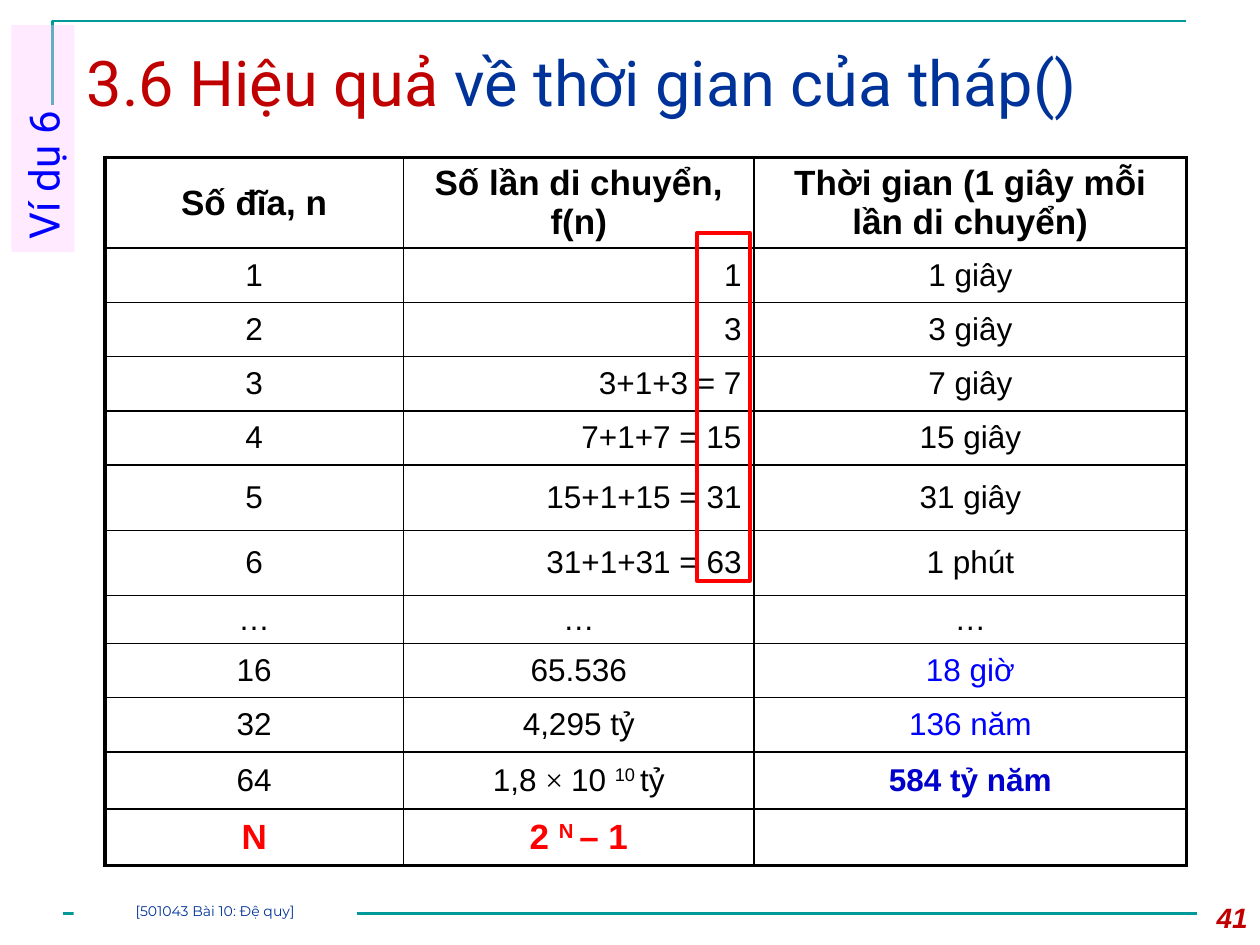
"""Build the slide on the running time of the Tower of Hanoi."""
from lxml import etree
from pptx import Presentation
from pptx.dml.color import RGBColor
from pptx.enum import shapes, text
from pptx.oxml import ns
from pptx.util import Pt

COLORS = {"teal": "009999", "crimson": "C00000", "navy": "003399", "black": "000000",
          "white": "FFFFFF", "blue": "0000FF", "deep blue": "0000CC", "red": "FF0000",
          "pink": "FFCCFF"}
CENTER, RIGHT, LEFT = text.PP_ALIGN.CENTER, text.PP_ALIGN.RIGHT, text.PP_ALIGN.LEFT


def add_span(para, words, size, color, font="Arial", bold=False, italic=False, raised=False):
    span = para.add_run()
    span.text = words
    span.font.size, span.font.name = Pt(size), font
    span.font.bold, span.font.italic = bold, italic
    span.font.color.rgb = RGBColor.from_string(COLORS[color])
    if raised:
        span.font._element.set("baseline", "30000")


def add_box(left, top, width, height, align, anchor, margin=None):
    box = page.shapes.add_shape(shapes.MSO_SHAPE.RECTANGLE,
                                Pt(left), Pt(top), Pt(width), Pt(height))
    box.shadow.inherit = False
    box.fill.background()
    box.line.fill.background()
    frame = box.text_frame
    frame.word_wrap, frame.vertical_anchor = True, anchor
    if margin is not None:
        frame.margin_left = frame.margin_right = Pt(margin)
        frame.margin_top = frame.margin_bottom = Pt(margin)
    frame.paragraphs[0].alignment = align
    return box


deck = Presentation()
deck.slide_width, deck.slide_height = Pt(720), Pt(540)
page = deck.slides.add_slide(deck.slide_layouts[6])
TOP, MIDDLE = text.MSO_ANCHOR.TOP, text.MSO_ANCHOR.MIDDLE
teal = RGBColor.from_string(COLORS["teal"])

outline = page.shapes.build_freeform(Pt(30), Pt(60))
outline.add_line_segments([(Pt(30), Pt(12)), (Pt(678), Pt(12))], close=False)
corner = outline.convert_to_shape()
corner.shadow.inherit = False
corner.fill.background()
footer_line = page.shapes.add_connector(shapes.MSO_CONNECTOR.STRAIGHT,
                                        Pt(36), Pt(522), Pt(684), Pt(522))
etree.SubElement(footer_line._element.spPr, ns.qn("a:effectLst"))
for rule in (corner, footer_line):
    rule.line.color.rgb, rule.line.width = teal, Pt(1.5)

title = add_box(42.5, 18, 641.5, 62, LEFT, MIDDLE)
title_para = title.text_frame.paragraphs[0]
title_para.line_spacing = 0.9
add_span(title_para, "3.6 Hiệu quả ", 36, "crimson", "Roboto")
add_span(title_para, "về thời gian của tháp()", 36, "navy", "Roboto")

number = add_box(672, 511, 48, 29, RIGHT, TOP)
add_span(number.text_frame.paragraphs[0], "41", 16, "crimson", bold=True, italic=True)

rows = [
    ("Số đĩa, n", "Số lần di chuyển, f(n)", "Thời gian (1 giây mỗi lần di chuyển)"),
    ("1", "1", "1 giây"),
    ("2", "3", "3 giây"),
    ("3", "3+1+3 = 7", "7 giây"),
    ("4", "7+1+7 = 15", "15 giây"),
    ("5", "15+1+15 = 31", "31 giây"),
    ("6", "31+1+31 = 63", "1 phút"),
    ("…", "…", "…"),
    ("16", "65.536", "18 giờ"),
    ("32", "4,295 tỷ", "136 năm"),
    ("64", ("1,8 ", "× ", "10 ", "^10 ", "tỷ"), "584 tỷ năm"),
    ("N", ("2 ", "^N ", "– 1"), ""),
]
widths = [170.5, 200.5, 247]
heights = [43.2, 31, 31, 31, 31, 37.3, 37.3, 21, 31, 31, 32.5, 32.5]
last_row, last_column = len(rows) - 1, len(widths) - 1
accents = {(8, 2): "blue", (9, 2): "blue", (10, 2): "deep blue"}

table = page.shapes.add_table(len(rows), len(widths), Pt(60), Pt(90),
                              Pt(sum(widths)), Pt(sum(heights))).table
for column, width in zip(table.columns, widths):
    column.width = Pt(width)
for r, (row, height) in enumerate(zip(rows, heights)):
    table.rows[r].height = Pt(height)
    for c, content in enumerate(row):
        cell = table.cell(r, c)
        cell.vertical_anchor = MIDDLE
        cell.fill.solid()
        cell.fill.fore_color.rgb = RGBColor.from_string(COLORS["white"])
        outer_sides = {"L": c == 0, "R": c == last_column, "T": r == 0, "B": r == last_row}
        for i, (side, outer) in enumerate(outer_sides.items()):
            border = etree.Element(ns.qn(f"a:ln{side}"), w=str(Pt(2.25 if outer else 1)))
            fill = etree.SubElement(border, ns.qn("a:solidFill"))
            etree.SubElement(fill, ns.qn("a:srgbClr"), val=COLORS["black"])
            cell._tc.get_or_add_tcPr().insert(i, border)
        para = cell.text_frame.paragraphs[0]
        para.alignment = RIGHT if c == 1 and 1 <= r <= 6 else CENTER
        edge_row = r in (0, last_row)
        color = "red" if r == last_row else accents.get((r, c), "black")
        for words in (content,) if isinstance(content, str) else content:
            if words:
                add_span(para, words.lstrip("^"), 20 if edge_row else 18, color,
                         "Times New Roman" if words == "× " else "Arial",
                         bold=edge_row or color == "deep blue", raised=words.startswith("^"))

highlight = add_box(398.2, 133.2, 30.2, 198.7, CENTER, MIDDLE)
highlight.line.color.rgb = RGBColor.from_string(COLORS["red"])
highlight.line.width = Pt(2.25)

side_label = add_box(-40.3, 61.2, 129.6, 36, LEFT, TOP)
side_label.rotation = 270
side_label.fill.solid()
side_label.fill.fore_color.rgb = RGBColor.from_string(COLORS["pink"])
tint = side_label._element.spPr.find(ns.qn("a:solidFill"))[0]
etree.SubElement(tint, ns.qn("a:alpha"), val="40000")
add_span(side_label.text_frame.paragraphs[0], "Ví dụ 6", 24, "blue", "Roboto")

footer = add_box(42, 516, 162, 12, CENTER, TOP, margin=0)
footer.fill.solid()
footer.fill.fore_color.rgb = RGBColor.from_string(COLORS["white"])
add_span(footer.text_frame.paragraphs[0], "[501043 Bài 10: Đệ quy]", 8, "navy", "Montserrat")

deck.save("out.pptx")
